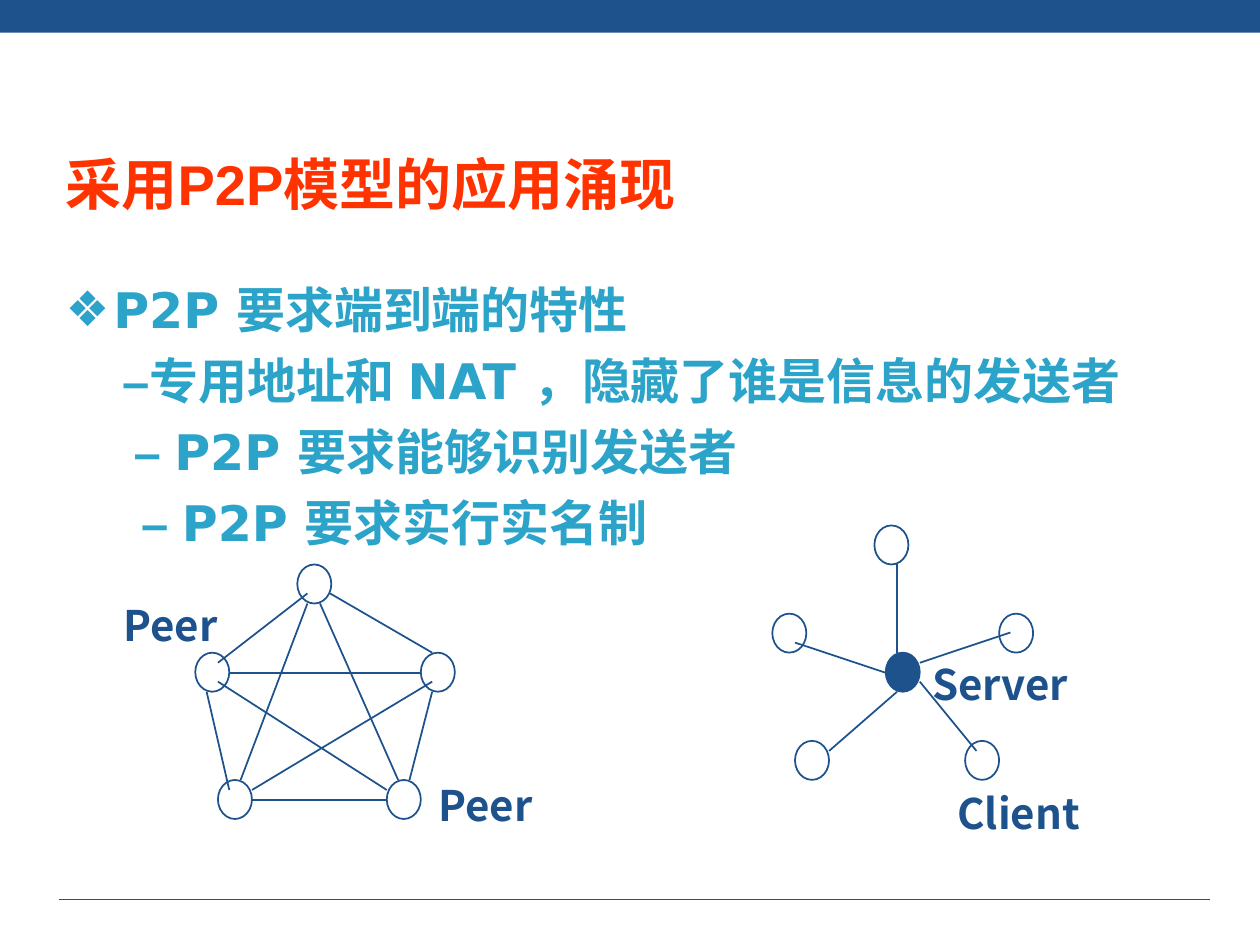
from lxml.etree import SubElement
from pptx import Presentation
from pptx.dml.color import RGBColor
from pptx.enum.shapes import MSO_CONNECTOR, MSO_SHAPE
from pptx.enum.text import MSO_ANCHOR, MSO_AUTO_SIZE, PP_ALIGN
from pptx.oxml.ns import qn
from pptx.util import Inches, Pt

BLUE = RGBColor(0x1D, 0x52, 0x8D)
CYAN = RGBColor(0x2C, 0xA3, 0xC8)
RED = RGBColor(0xFF, 0x33, 0x00)
WHITE = RGBColor(0xFF, 0xFF, 0xFF)

TITLE = "采用P2P模型的应用涌现"
BODY = [
    (0.38, "❖", [("P2P 要求端到端的特性", "DejaVu Sans")]),
    (0.45, None, [("–专用地址和 ", "Arial"), ("NAT ，隐藏了谁是信息的发送者", "DejaVu Sans")]),
    (0.54, None, [("– ", "Arial"), ("P2P 要求能够识别发送者", "DejaVu Sans")]),
    (0.6, None, [("– ", "Arial"), ("P2P 要求实行实名制", "DejaVu Sans")]),
]
NODE_W, NODE_H = 0.27, 0.31
SERVER = (7.03, 5.18)
CLIENTS = [(7.66, 5.88), (6.31, 5.88), (7.93, 4.87), (6.94, 4.17), (6.13, 4.87)]
PEERS = [(3.07, 6.19), (1.73, 6.19), (3.34, 5.18), (2.36, 4.48), (1.55, 5.18)]
SERVER_LINKS = [
    (7.3, 5.26, 8.02, 5.02), (7.12, 5.18, 7.12, 4.48), (7.03, 5.34, 6.31, 5.1),
    (7.12, 5.49, 6.58, 5.96), (7.3, 5.41, 7.75, 5.96),
]
PEER_LINKS = [
    (1.73, 5.26, 2.44, 4.71), (1.64, 5.49, 1.82, 6.27), (2, 6.35, 3.07, 6.35),
    (3.25, 6.19, 3.43, 5.49), (3.43, 5.18, 2.62, 4.71), (1.82, 5.34, 3.34, 5.34),
    (1.91, 6.19, 2.44, 4.79), (2.54, 4.79, 3.16, 6.19), (2, 6.27, 3.43, 5.41),
    (1.73, 5.41, 3.07, 6.27),
]
LABELS = [
    ("Peer", 3.38, 6.14, 0.95), ("Peer", 0.88, 4.71, 0.95),
    ("Client", 7.5, 6.2, 1.17), ("Server", 7.3, 5.18, 1.3),
]


def place(sp, x, y, w, h):
    sp.left, sp.top, sp.width, sp.height = map(Inches, (x, y, w, h))


def style(r, font, size, color):
    r.font.name, r.font.size, r.font.bold = font, Pt(size), True
    r.font.color.rgb = color
    SubElement(r._r.get_or_add_rPr(), qn("a:ea")).set("typeface", font)


def add_shape(s, kind, box, fill, width=None):
    sp = s.shapes.add_shape(kind, *map(Inches, box))
    sp.shadow.inherit = False
    sp.fill.solid()
    sp.fill.fore_color.rgb = fill
    if width:
        sp.line.color.rgb, sp.line.width = BLUE, Pt(width)
    else:
        sp.line.fill.background()


def add_line(s, ends, width):
    line = s.shapes.add_connector(MSO_CONNECTOR.STRAIGHT, *map(Inches, ends))
    line.line.color.rgb, line.line.width = BLUE, Pt(width)
    SubElement(line._element.spPr, qn("a:effectLst"))


def set_bullet(p, indent, bullet):
    pPr = p._p.get_or_add_pPr()
    pPr.set("marL", str(Inches(indent)))
    pPr.set("indent", str(-Inches(indent) if bullet else 0))
    if bullet:
        color = SubElement(pPr, qn("a:buClr"))
        SubElement(color, qn("a:srgbClr")).set("val", str(CYAN))
        SubElement(pPr, qn("a:buChar")).set("char", bullet)
    else:
        SubElement(pPr, qn("a:buNone"))


def add_title(s):
    title = s.shapes.title
    place(title, 0.42, 0.83, 9, 1.25)
    tf = title.text_frame
    tf.text = TITLE
    tf.auto_size = MSO_AUTO_SIZE.NONE
    tf.vertical_anchor = MSO_ANCHOR.MIDDLE
    tf.paragraphs[0].alignment = PP_ALIGN.LEFT
    style(tf.paragraphs[0].runs[0], "Arial", 32, RED)


def add_body(s):
    body = s.placeholders[1]
    place(body, 0.42, 2.17, 8.92, 3.08)
    tf = body.text_frame
    tf.auto_size = MSO_AUTO_SIZE.NONE
    for i, (indent, bullet, runs) in enumerate(BODY):
        p = tf.add_paragraph() if i else tf.paragraphs[0]
        set_bullet(p, indent, bullet)
        p.space_before = Pt(7 if i else 0)
        for text, font in runs:
            r = p.add_run()
            r.text = text
            style(r, font, 28, CYAN)


def add_label(s, text, x, y, w):
    tf = s.shapes.add_textbox(*map(Inches, (x, y, w, 0.5))).text_frame
    tf.text = text
    tf.word_wrap = False
    style(tf.paragraphs[0].runs[0], "Noto Sans CJK SC", 24, BLUE)


def main():
    prs = Presentation()
    prs.slide_width, prs.slide_height = Inches(10), Inches(7.5)
    s = prs.slides.add_slide(prs.slide_layouts[1])
    add_shape(s, MSO_SHAPE.RECTANGLE, (0, 0, 10, 0.26), BLUE)
    add_line(s, (0.47, 7.14, 9.6, 7.14), 0.75)
    add_title(s)
    add_body(s)
    for node in [SERVER] + CLIENTS + PEERS:
        fill = BLUE if node == SERVER else WHITE
        add_shape(s, MSO_SHAPE.FLOWCHART_CONNECTOR, (*node, NODE_W, NODE_H), fill, 1)
    for ends in SERVER_LINKS + PEER_LINKS:
        add_line(s, ends, 1)
    for label in LABELS:
        add_label(s, *label)
    prs.save("out.pptx")


if __name__ == "__main__":
    main()
